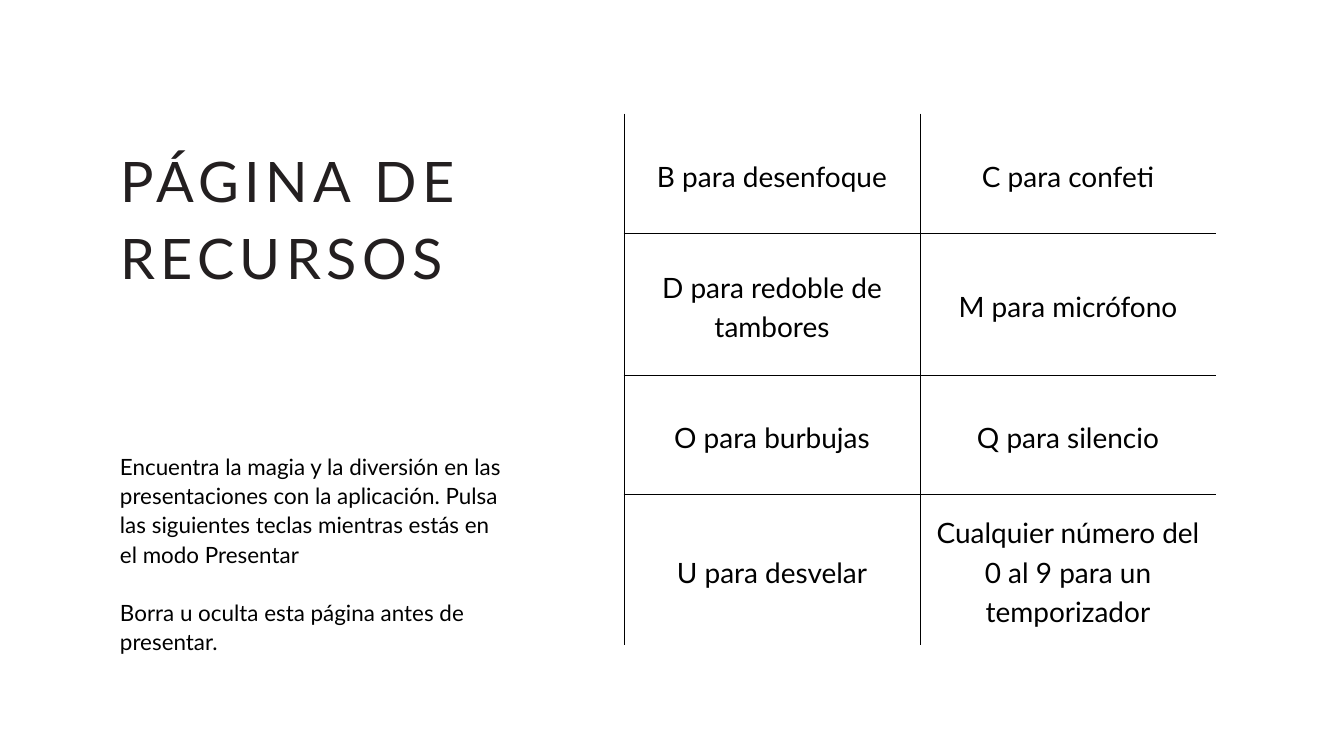
import pptx
import pptx.dml.color
import pptx.enum.text
import pptx.oxml
import pptx.oxml.ns
import pptx.util

# Content
TITLE = "PÁGINA DE RECURSOS"
NOTES = [
    "Encuentra la magia y la diversión en las presentaciones con la aplicación. "
    "Pulsa las siguientes teclas mientras estás en el modo Presentar",
    "Borra u oculta esta página antes de presentar.",
]
SHORTCUTS = [
    ("B para desenfoque", "C para confeti"),
    ("D para redoble de tambores", "M para micrófono"),
    ("O para burbujas", "Q para silencio"),
    ("U para desvelar", "Cualquier número del 0 al 9 para un temporizador"),
]

# Layout in px
EMU_PER_PX = 914400 / 67.2
PAGE_SIZE = (1344, 756)
TITLE_AREA = (120, 137, 372, 152)
NOTES_AREA = (120, 451, 385, 229)
TABLE_LEFT, TABLE_TOP = 624, 114
COLUMN_WIDTH = 296
ROW_HEIGHTS = [119, 142, 119, 151]
CELL_MARGIN = 14

FONT = "Lato"
COLORS = {"title": "231F20", "text": "000000", "line": "000000", "page": "FFFFFF"}
BORDER_WIDTH = pptx.util.Pt(0.75)


def px(length):
    return pptx.util.Emu(round(length * EMU_PER_PX))


def write(para, text, size, color, line_height):
    para.line_spacing = pptx.util.Pt(line_height)
    span = para.add_run()
    span.text = text
    span.font.name = FONT
    span.font.size = pptx.util.Pt(size)
    span.font.color.rgb = pptx.dml.color.RGBColor.from_string(color)
    return span


def add_box(page, area):
    frame = page.shapes.add_textbox(*map(px, area)).text_frame
    frame.word_wrap = True
    frame.margin_left = frame.margin_right = 0
    frame.margin_top = frame.margin_bottom = 0
    return frame


def set_borders(cell, colors):
    """Border lines go ahead of the fill, in left, right, top, bottom order."""
    properties = cell._tc.get_or_add_tcPr()
    for index, (side, color) in enumerate(zip("LRTB", colors)):
        properties.insert(index, pptx.oxml.parse_xml(
            f'<a:ln{side} {pptx.oxml.ns.nsdecls("a")} w="{BORDER_WIDTH}">'
            f'<a:solidFill><a:srgbClr val="{color}"/></a:solidFill></a:ln{side}>'))


def add_shortcut_table(page):
    rows, columns = len(SHORTCUTS), len(SHORTCUTS[0])
    table = page.shapes.add_table(
        rows, columns, px(TABLE_LEFT), px(TABLE_TOP),
        px(columns * COLUMN_WIDTH), px(sum(ROW_HEIGHTS))).table
    table.first_row = table.horz_banding = False
    for column in table.columns:
        column.width = px(COLUMN_WIDTH)
    for row, height in zip(table.rows, ROW_HEIGHTS):
        row.height = px(height)

    line, blank = COLORS["line"], COLORS["page"]
    for r, texts in enumerate(SHORTCUTS):
        for c, text in enumerate(texts):
            cell = table.cell(r, c)
            cell.fill.background()
            cell.vertical_anchor = pptx.enum.text.MSO_ANCHOR.MIDDLE
            cell.margin_left = cell.margin_right = px(CELL_MARGIN)
            cell.margin_top = cell.margin_bottom = px(CELL_MARGIN)
            para = cell.text_frame.paragraphs[0]
            para.alignment = pptx.enum.text.PP_ALIGN.CENTER
            write(para, text, 30, COLORS["text"], 42)
            # The grid stays open at the top, right and bottom
            set_borders(cell, (
                line,
                blank if c == columns - 1 else line,
                blank if r == 0 else line,
                blank if r == rows - 1 else line))


def main():
    deck = pptx.Presentation()
    deck.slide_width, deck.slide_height = map(px, PAGE_SIZE)
    page = deck.slides.add_slide(deck.slide_layouts[6])
    page.background.fill.solid()
    page.background.fill.fore_color.rgb = pptx.dml.color.RGBColor.from_string(COLORS["page"])

    add_shortcut_table(page)

    # Title with wide letter spacing
    frame = add_box(page, TITLE_AREA)
    span = write(frame.paragraphs[0], TITLE, 59.8, COLORS["title"], 82.5)
    span.font._element.set("spc", "590")

    # Notes, one line apart
    frame = add_box(page, NOTES_AREA)
    for index, text in enumerate(NOTES):
        para = frame.add_paragraph() if index else frame.paragraphs[0]
        if index:
            para.space_before = pptx.util.Pt(31.2)
        write(para, text, 24, COLORS["text"], 31.2)

    deck.save("out.pptx")


if __name__ == "__main__":
    main()
